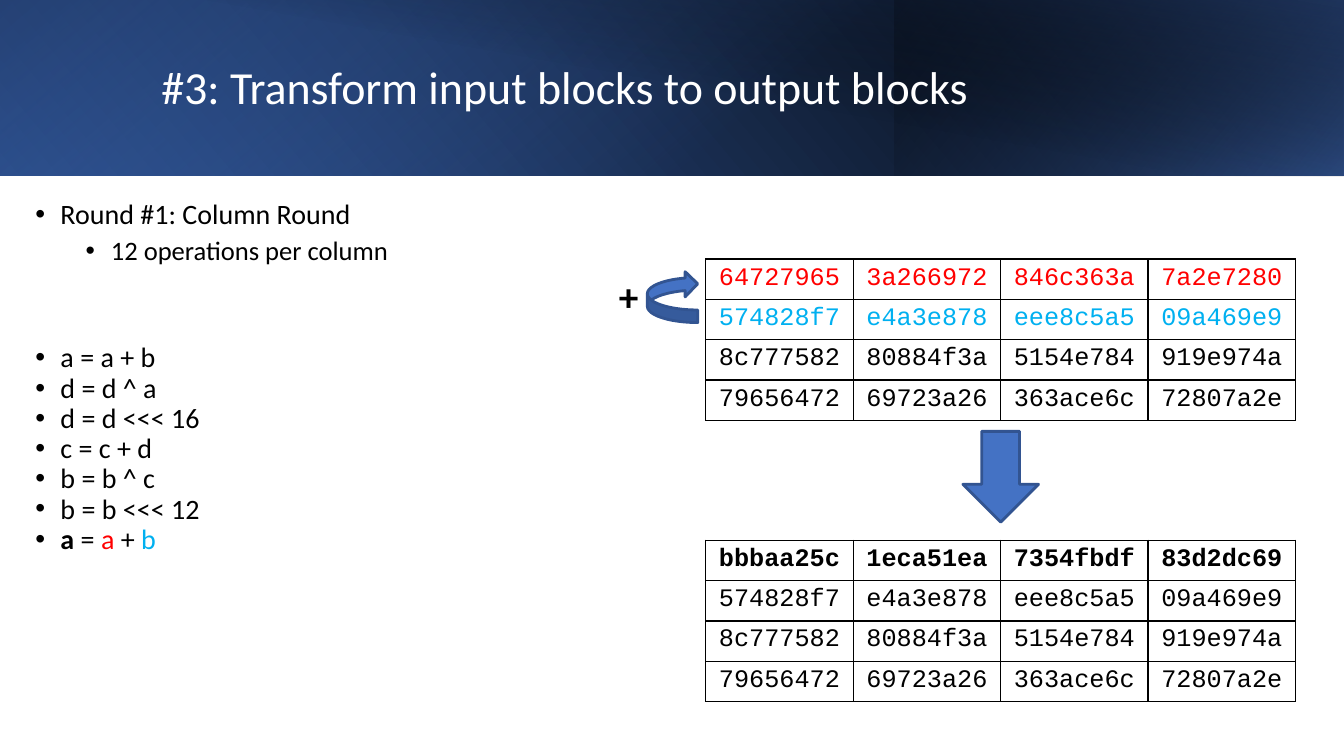
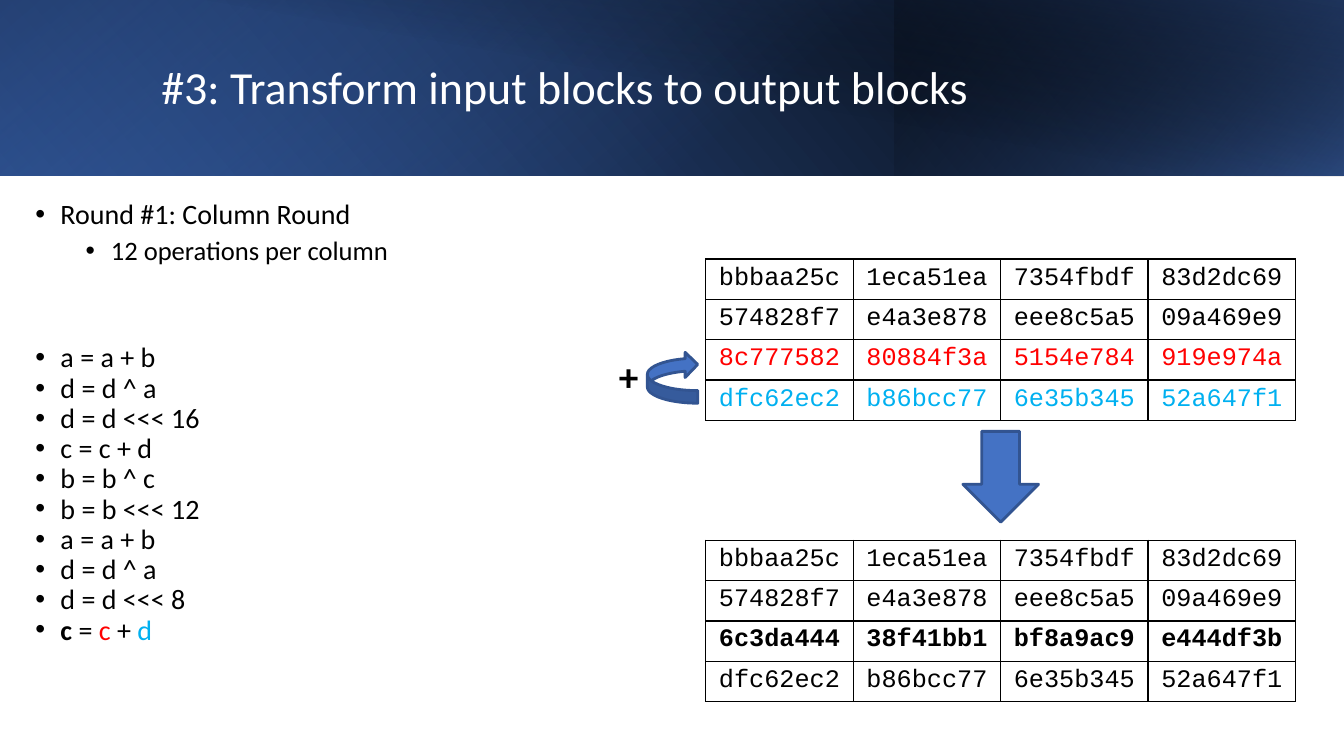
from dataclasses import dataclass

from lxml import etree
from pptx import Presentation
from pptx import util as u
from pptx.dml.color import RGBColor
from pptx.enum import shapes, text
from pptx.oxml import parse_xml
from pptx.oxml.ns import nsdecls, qn


@dataclass(frozen=True)
class Theme:
    ink: str = "000000"
    paper: str = "FFFFFF"
    target: str = "FF0000"
    operand: str = "00B0F0"
    arrow: str = "4472C4"
    arrow_edge: str = "325491"
    band_blue: str = "2F5597"
    band_navy: str = "203864"
    body_font: str = "Calibri"
    code_font: str = "Courier New"
    title_size: float = 32.8
    list_size: int = 20
    sublist_size: int = 19
    code_size: int = 18
    plus_size: int = 28


theme = Theme()
TITLE = "#3: Transform input blocks to output blocks"
OUTLINE = ["Round #1: Column Round", "12 operations per column"]
OPERATIONS = [
    "a = a + b", "d = d ^ a", "d = d <<< 16", "c = c + d", "b = b ^ c",
    "b = b <<< 12", "a = a + b", "d = d ^ a", "d = d <<< 8", "c = c + d",
]
# Number of operations done, and the block (rows a to d) before the last one
STEPS = [
    (7, ["64727965 3a266972 846c363a 7a2e7280",
         "574828f7 e4a3e878 eee8c5a5 09a469e9",
         "8c777582 80884f3a 5154e784 919e974a",
         "79656472 69723a26 363ace6c 72807a2e"]),
    (10, ["bbbaa25c 1eca51ea 7354fbdf 83d2dc69",
          "574828f7 e4a3e878 eee8c5a5 09a469e9",
          "8c777582 80884f3a 5154e784 919e974a",
          "dfc62ec2 b86bcc77 6e35b345 52a647f1"]),
]
# Left, width, height, rotation, flipped, angle, stops (position, colour, opacity)
BANDS = [
    (0, 13.33, 1.74, 0, True, 40, [(0, theme.ink, 100), (100, theme.band_blue, 100)]),
    (0, 8.87, 1.74, 180, True, 130, [(20, theme.arrow, 0), (100, theme.band_navy, 55)]),
    (8.87, 4.46, 1.74, 0, True, 320, [(0, theme.arrow, 66), (100, theme.ink, 30)]),
    (0.5, 12.83, 1.75, 0, False, 280, [(50, theme.ink, 0), (100, theme.band_navy, 52)]),
]
ROW_HEIGHT = 0.4


def write(paragraph, words, size=theme.list_size, color=theme.ink, font=theme.body_font, bold=False):
    run = paragraph.add_run()
    run.text = words
    run.font.size = u.Pt(size)
    run.font.name = font
    run.font.bold = bold
    run.font.color.rgb = RGBColor.from_string(color)


def bullet(paragraph, indent, space_before):
    paragraph.line_spacing = 0.9
    paragraph.space_before = u.Pt(space_before)
    props = paragraph._p.get_or_add_pPr()
    props.set("marL", str(u.Inches(indent)))
    props.set("indent", str(u.Inches(-0.25)))
    color = etree.SubElement(props, qn("a:buClr"))
    etree.SubElement(color, qn("a:srgbClr"), val=theme.ink)
    etree.SubElement(props, qn("a:buFont"), typeface="Arial")
    etree.SubElement(props, qn("a:buChar"), char="•")


prs = Presentation()
prs.slide_width, prs.slide_height = u.Inches(13.33), u.Inches(7.5)

for done, before in STEPS:
    slide = prs.slides.add_slide(prs.slide_layouts.get_by_name("Two Content"))
    title, outline, operations = slide.placeholders

    # Header bands, behind the title
    for depth, (left, width, height, rotation, flipped, angle, stops) in enumerate(BANDS):
        band = slide.shapes.add_shape(
            shapes.MSO_SHAPE.RECTANGLE, u.Inches(left), 0, u.Inches(width), u.Inches(height))
        band.rotation = rotation
        band.shadow.inherit = False
        band.line.fill.background()
        if flipped:
            band._element.spPr.find(qn("a:xfrm")).set("flipH", "1")
        stop_xml = "".join(
            f'<a:gs pos="{pos * 1000}"><a:srgbClr val="{color}">'
            f'<a:alpha val="{opacity * 1000}"/></a:srgbClr></a:gs>'
            for pos, color, opacity in stops)
        band._element.spPr.find(qn("a:prstGeom")).addnext(parse_xml(
            f'<a:gradFill {nsdecls("a")} rotWithShape="1"><a:gsLst>{stop_xml}</a:gsLst>'
            f'<a:lin ang="{angle * 60000}" scaled="0"/></a:gradFill>'))
        slide.shapes._spTree.insert(2 + depth, band._element)

    # Title and lists
    for holder, box in [(title, (1.5, 0.32, 10.82, 1.13)),
                        (outline, (0.25, 1.94, 5.41, 1.26)),
                        (operations, (0.25, 3.36, 5.41, 4))]:
        holder.left, holder.top, holder.width, holder.height = map(u.Inches, box)
        holder.text_frame.word_wrap = True
        holder.text_frame.auto_size = text.MSO_AUTO_SIZE.NONE

    title.text_frame.vertical_anchor = text.MSO_ANCHOR.MIDDLE
    heading = title.text_frame.paragraphs[0]
    heading.alignment = text.PP_ALIGN.LEFT
    heading.line_spacing = 0.9
    write(heading, TITLE, size=theme.title_size, color=theme.paper)

    main_point = outline.text_frame.paragraphs[0]
    bullet(main_point, 0.25, 10)
    write(main_point, OUTLINE[0])
    sub_point = outline.text_frame.add_paragraph()
    sub_point.level = 1
    bullet(sub_point, 0.75, 5)
    write(sub_point, OUTLINE[1], size=theme.sublist_size)

    # Operations so far, with the current one highlighted
    *earlier, current = OPERATIONS[:done]
    line = operations.text_frame.paragraphs[0]
    for operation in earlier:
        bullet(line, 0.25, 0)
        write(line, operation)
        line = operations.text_frame.add_paragraph()
    target, _, _, _, operand = current.split()
    bullet(line, 0.25, 0)
    write(line, target, bold=True)
    write(line, " = ")
    write(line, target, color=theme.target)
    write(line, " + ")
    write(line, operand, color=theme.operand)

    # The target row becomes the sum of both rows, modulo 2^32
    target_row, operand_row = "abcd".index(target), "abcd".index(operand)
    block_in = [row.split() for row in before]
    block_out = list(block_in)
    block_out[target_row] = [
        f"{(int(x, 16) + int(y, 16)) % 2**32:08x}"
        for x, y in zip(block_in[target_row], block_in[operand_row])]

    # Input and output blocks
    input_formats = {target_row: {"color": theme.target}, operand_row: {"color": theme.operand}}
    output_formats = {target_row: {"bold": True}}
    for top, block, formats in [(2.57, block_in, input_formats), (5.36, block_out, output_formats)]:
        grid = slide.shapes.add_table(
            4, 4, u.Inches(7), u.Inches(top), u.Inches(5.85), u.Inches(4 * ROW_HEIGHT)).table
        grid.first_row = grid.horz_banding = False
        for r, row in enumerate(block):
            for c, word in enumerate(row):
                cell = grid.cell(r, c)
                for side in ("lnL", "lnR", "lnT", "lnB"):
                    cell._tc.get_or_add_tcPr().append(parse_xml(
                        f'<a:{side} {nsdecls("a")} w="{u.Pt(0.96)}"><a:solidFill>'
                        f'<a:srgbClr val="{theme.ink}"/></a:solidFill></a:{side}>'))
                cell.fill.background()
                entry = cell.text_frame.paragraphs[0]
                entry.alignment = text.PP_ALIGN.CENTER
                write(entry, word, size=theme.code_size, font=theme.code_font, **formats.get(r, {}))

    # Arrows: block to block, and operand row to target row
    offset = target_row * ROW_HEIGHT
    for kind, box, rotation in [
            (shapes.MSO_SHAPE.DOWN_ARROW, (9.55, 4.28, 0.75, 0.9), 0),
            (shapes.MSO_SHAPE.CURVED_LEFT_ARROW, (6.42, 2.69 + offset, 0.5, 0.51), 180)]:
        arrow = slide.shapes.add_shape(kind, *map(u.Inches, box))
        arrow.rotation = rotation
        arrow.shadow.inherit = False
        arrow.fill.solid()
        arrow.fill.fore_color.rgb = RGBColor.from_string(theme.arrow)
        arrow.line.color.rgb = RGBColor.from_string(theme.arrow_edge)
        arrow.line.width = u.Pt(2)

    # Plus sign beside the curved arrow
    plus = slide.shapes.add_textbox(
        u.Inches(6.04), u.Inches(2.65 + offset), u.Inches(0.48), u.Inches(0.57))
    plus.text_frame.word_wrap = True
    plus.text_frame.auto_size = text.MSO_AUTO_SIZE.SHAPE_TO_FIT_TEXT
    write(plus.text_frame.paragraphs[0], "+", size=theme.plus_size, bold=True)

prs.save("out.pptx")
